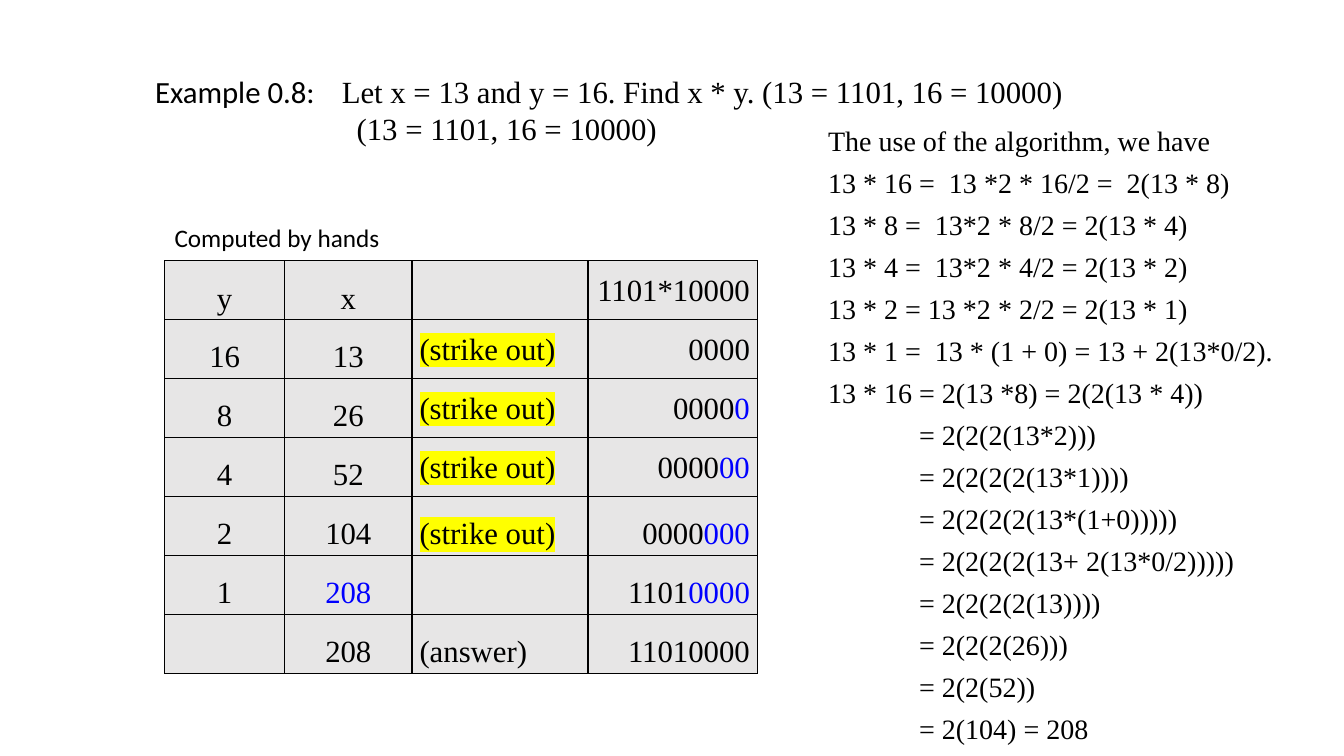
from lxml import etree
from pptx import Presentation
from pptx.dml.color import RGBColor
from pptx.enum.text import MSO_ANCHOR, PP_ALIGN
from pptx.oxml.ns import qn
from pptx.util import Pt

LEFT, CENTER, RIGHT = PP_ALIGN.LEFT, PP_ALIGN.CENTER, PP_ALIGN.RIGHT
MIDDLE, TOP = MSO_ANCHOR.MIDDLE, MSO_ANCHOR.TOP
SERIF, SANS = "Times New Roman", "Calibri"
BLACK, BLUE, GREY, YELLOW = "000000", "0000FF", "E7E6E6", "FFFF00"

COLUMN_WIDTHS = [85.7, 91, 125.7, 121]
COLUMN_ALIGNMENTS = [CENTER, CENTER, LEFT, RIGHT]
STRIKE = "(strike out)"
FIRST_LOOSE_ROW = 4
ROWS = [
    ["y", "x", "", ("1101*10000", "")],
    ["16", "13", STRIKE, ("0000", "")],
    ["8", "26", STRIKE, ("0000", "0")],
    ["4", "52", STRIKE, ("0000", "00")],
    ["2", "104", STRIKE, ("0000", "000")],
    ["1", ("", "208"), "", ("1101", "0000")],
    ["", "208", "(answer)", ("11010000", "")],
]

EQUATIONS = [
    "The use of the algorithm, we have",
    "13 * 16 =  13 *2 * 16/2 =  2(13 * 8)",
    "13 * 8 =  13*2 * 8/2 = 2(13 * 4)",
    "13 * 4 =  13*2 * 4/2 = 2(13 * 2)",
    "13 * 2 = 13 *2 * 2/2 = 2(13 * 1)",
    "13 * 1 =  13 * (1 + 0) = 13 + 2(13*0/2).",
    "13 * 16 = 2(13 *8) = 2(2(13 * 4))",
]
EXPANSIONS = [
    "= 2(2(2(13*2)))",
    "= 2(2(2(2(13*1))))",
    "= 2(2(2(2(13*(1+0)))))",
    "= 2(2(2(2(13+ 2(13*0/2)))))",
    "= 2(2(2(2(13))))",
    "= 2(2(2(26)))",
    "= 2(2(52))",
    "= 2(104) = 208",
]


def color(value):
    return RGBColor.from_string(value)


def set_values(target, values):
    for name, value in values.items():
        setattr(target, name, value)


def add_span(para, text, size, font=SERIF, fill=BLACK, highlight=None):
    span = para.add_run()
    span.text = text
    set_values(span.font, {"size": Pt(size), "name": font})
    span.font.color.rgb = color(fill)
    if highlight:
        mark = etree.Element(qn("a:highlight"))
        etree.SubElement(mark, qn("a:srgbClr"), val=highlight)
        span.font._element.find(qn("a:solidFill")).addnext(mark)


def add_text_box(page, box, top_inset=3.6):
    frame = page.shapes.add_textbox(*map(Pt, box)).text_frame
    set_values(frame, {"word_wrap": True, "vertical_anchor": TOP,
                       "margin_top": Pt(top_inset)})
    return frame


def indent(para, distance):
    para._p.get_or_add_pPr().set("marL", str(Pt(distance)))


def add_tab_stop(para, distance):
    stops = etree.SubElement(para._p.get_or_add_pPr(), qn("a:tabLst"))
    etree.SubElement(stops, qn("a:tab"), pos=str(Pt(distance)), algn="l")


def add_heading(page, box):
    frame = add_text_box(page, box, 4.85)
    problem = frame.paragraphs[0]
    add_tab_stop(problem, 133.4)
    add_span(problem, "Example 0.8:\t", 22, SANS)
    add_span(problem, "Let x = 13 and y = 16. Find x * y. (13 = 1101, 16 = 10000)", 22)
    binary = frame.add_paragraph()
    indent(binary, 144)
    add_span(binary, "(13 = 1101, 16 = 10000)", 22)


def add_caption(page, box):
    add_span(add_text_box(page, box).paragraphs[0], "Computed by hands", 18, SANS)


def add_derivation(page, box):
    frame = add_text_box(page, box)
    for index, line in enumerate(EQUATIONS + EXPANSIONS):
        para = frame.add_paragraph() if index else frame.paragraphs[0]
        para.space_after = Pt(6)
        if index >= len(EQUATIONS):
            indent(para, 65)
        add_span(para, line, 20)


def format_cell(cell):
    set_values(cell, {"vertical_anchor": MIDDLE, "margin_left": Pt(5.4),
                      "margin_right": Pt(5.4), "margin_top": 0, "margin_bottom": 0})
    cell.fill.solid()
    cell.fill.fore_color.rgb = color(GREY)
    for position, side in enumerate(["lnL", "lnR", "lnT", "lnB"]):
        border = etree.Element(qn("a:" + side), w=str(Pt(1)))
        fill = etree.SubElement(border, qn("a:solidFill"))
        etree.SubElement(fill, qn("a:srgbClr"), val=BLACK)
        cell._tc.get_or_add_tcPr().insert(position, border)


def add_hand_table(page, box):
    frame = page.shapes.add_table(len(ROWS), len(COLUMN_WIDTHS), *map(Pt, box))
    table = frame.table
    set_values(table, {"first_row": False, "horz_banding": False})
    for column, width in zip(table.columns, COLUMN_WIDTHS):
        column.width = Pt(width)
    for row_index, values in enumerate(ROWS):
        table.rows[row_index].height = Pt(box[3] / len(ROWS))
        for column_index, value in enumerate(values):
            cell = table.cell(row_index, column_index)
            format_cell(cell)
            loose = column_index < 2 or row_index >= FIRST_LOOSE_ROW
            para = cell.text_frame.paragraphs[0]
            set_values(para, {"alignment": COLUMN_ALIGNMENTS[column_index],
                              "line_spacing": 1.5 if loose else 1.07})
            parts = value if isinstance(value, tuple) else (value, "")
            for text, fill in zip(parts, (BLACK, BLUE)):
                if text:
                    add_span(para, text, 22, fill=fill,
                             highlight=YELLOW if text == STRIKE else None)


def main():
    deck = Presentation()
    set_values(deck, {"slide_width": Pt(960), "slide_height": Pt(540)})
    page = deck.slides.add_slide(deck.slide_layouts[6])
    add_hand_table(page, (117.6, 186.2, sum(COLUMN_WIDTHS), 295))
    add_heading(page, (103.7, 46.8, 731.5, 87.1))
    add_derivation(page, (584.4, 84.4, 342, 455.6))
    add_caption(page, (117.6, 155.5, 177, 29))
    deck.save("out.pptx")


if __name__ == "__main__":
    main()
